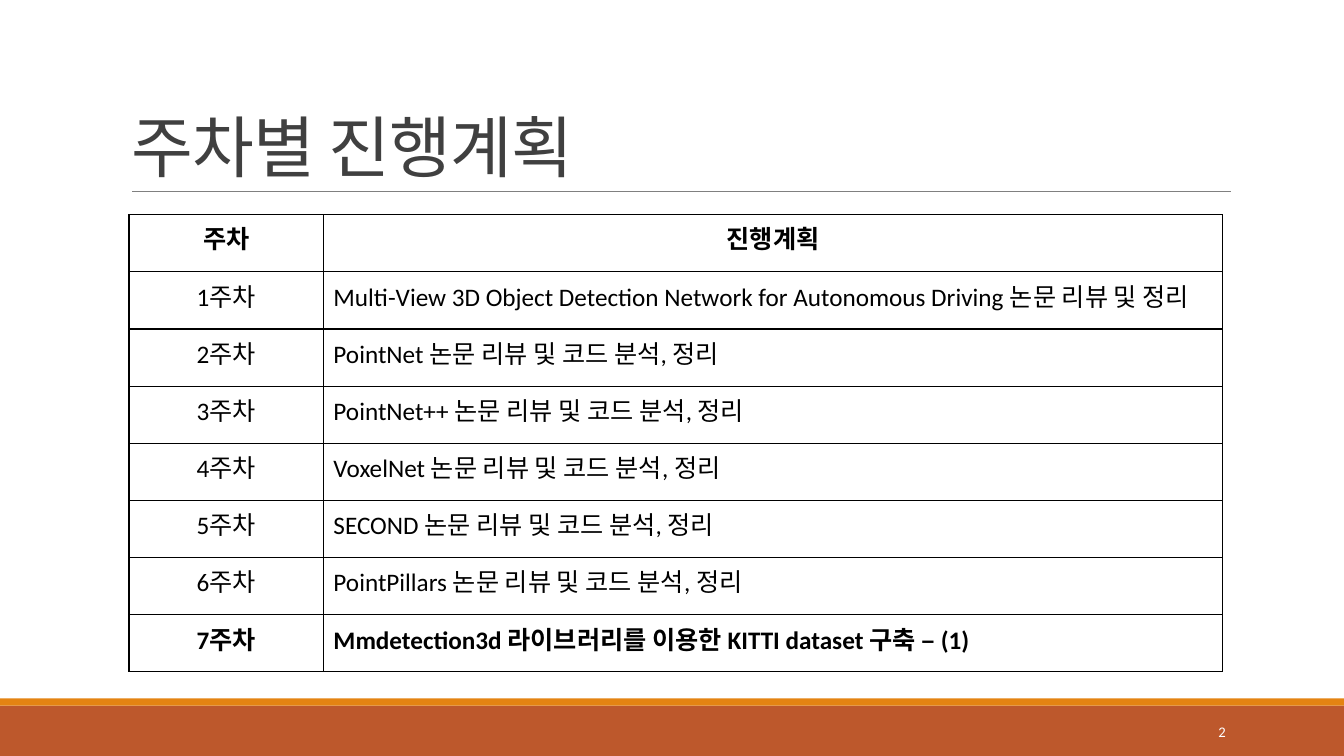
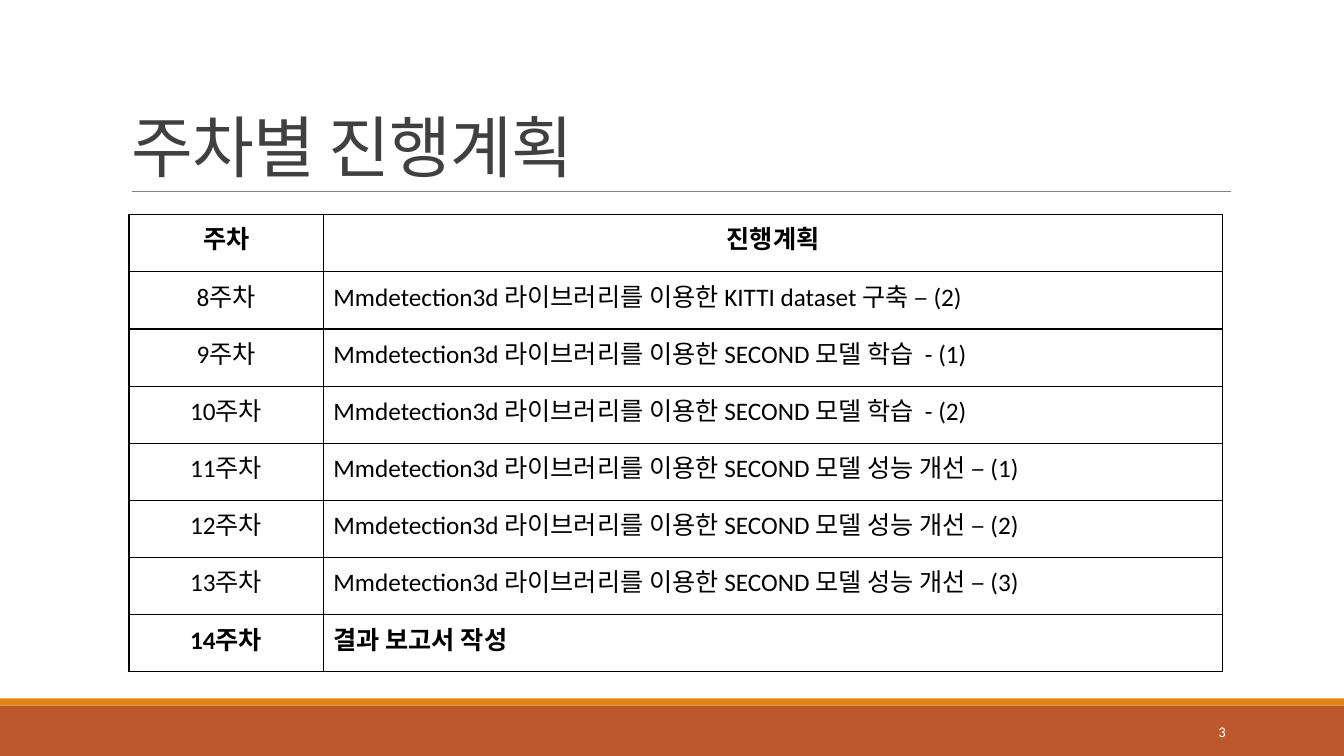
import lxml.etree
import pptx
import pptx.dml.color
import pptx.enum.shapes
import pptx.enum.text
import pptx.oxml.ns
import pptx.util

Cm = pptx.util.Cm
Pt = pptx.util.Pt
qn = pptx.oxml.ns.qn
ALIGN = pptx.enum.text.PP_ALIGN
ANCHOR = pptx.enum.text.MSO_ANCHOR

REVIEW = " 논문 리뷰 및 코드 분석, 정리"
LIBRARY = "Mmdetection3d 라이브러리를 이용한 "
PLANS = [
    "Multi-View 3D Object Detection Network for Autonomous Driving 논문 리뷰 및 정리",
    *(model + REVIEW for model in ("PointNet", "PointNet++", "VoxelNet", "SECOND", "PointPillars")),
    *(f"{LIBRARY}KITTI dataset 구축 – ({part})" for part in (1, 2)),
    *(f"{LIBRARY}SECOND 모델 학습  - ({part})" for part in (1, 2)),
    *(f"{LIBRARY}SECOND 모델 성능 개선 – ({part})" for part in (1, 2, 3)),
    "결과 보고서 작성",
]
WEEKS_PER_PAGE = 7


def color(value):
    return pptx.dml.color.RGBColor.from_string(value)


class PlanDeck:
    """Hold the deck style and the current page."""

    font = "Calibri"
    ink, title_ink, rule_ink, paper = "000000", "404040", "808080", "FFFFFF"
    bands = ((17.78, 1.27, "BD582C"), (17.6, 0.18, "E48312"))
    width, height = Cm(33.87), Cm(19.05)

    def __init__(self):
        self.deck = pptx.Presentation()
        self.deck.slide_width, self.deck.slide_height = self.width, self.height
        self.page = None

    def style(self, para, size, ink, align=ALIGN.LEFT, bold=False):
        para.alignment = align
        para.font.name = self.font
        para.font.size = Pt(size)
        para.font.bold = bold
        para.font.color.rgb = color(ink)

    def add_page(self, title, number):
        self.page = self.deck.slides.add_slide(self.deck.slide_layouts[5])
        for top, height, fill in self.bands:
            self.add_band(top, height, fill)
        self.add_rule()
        self.set_title(title)
        self.add_number(number)

    def add_band(self, top, height, fill):
        band = self.page.shapes.add_shape(
            pptx.enum.shapes.MSO_SHAPE.RECTANGLE, 0, Cm(top), self.width, Cm(height))
        band.shadow.inherit = False
        band.fill.solid()
        band.fill.fore_color.rgb = color(fill)
        band.line.fill.background()

    def add_rule(self):
        rule = self.page.shapes.add_connector(
            pptx.enum.shapes.MSO_CONNECTOR.STRAIGHT, Cm(3.33), Cm(4.83), Cm(31.01), Cm(4.83))
        rule.line.color.rgb = color(self.rule_ink)
        rule.line.width = Pt(0.5)
        lxml.etree.SubElement(rule._element.spPr, qn("a:effectLst"))

    def set_title(self, text):
        box = self.page.shapes.title
        box.left, box.top, box.width, box.height = Cm(3.05), Cm(0.79), Cm(27.94), Cm(4.04)
        frame = box.text_frame
        frame.text = text
        frame.auto_size = pptx.enum.text.MSO_AUTO_SIZE.NONE
        frame.vertical_anchor = ANCHOR.BOTTOM
        para = frame.paragraphs[0]
        self.style(para, 48, self.title_ink)
        para.line_spacing = 0.85
        para.runs[0].font._element.set("spc", "-50")

    def add_number(self, number):
        box = self.page.shapes.add_textbox(Cm(27.51), Cm(17.93), Cm(3.63), Cm(1.02))
        frame = box.text_frame
        frame.word_wrap = True
        frame.vertical_anchor = ANCHOR.MIDDLE
        frame.text = str(number)
        self.style(frame.paragraphs[0], 10.5, self.paper, ALIGN.RIGHT)

    def add_table(self, rows):
        widths, row_height = (Cm(4.9), Cm(22.66)), Cm(1.44)
        table = self.page.shapes.add_table(
            len(rows), len(widths), Cm(3.25), Cm(5.41), sum(widths), row_height * len(rows)).table
        for column, width in zip(table.columns, widths):
            column.width = width
        for row_index, texts in enumerate(rows):
            table.rows[row_index].height = row_height
            bold = row_index in (0, len(rows) - 1)
            for column_index, text in enumerate(texts):
                centred = row_index == 0 or column_index == 0
                align = ALIGN.CENTER if centred else ALIGN.LEFT
                self.fill_cell(table.cell(row_index, column_index), text, align, bold)

    def fill_cell(self, cell, text, align, bold):
        cell.text = text
        self.style(cell.text_frame.paragraphs[0], 18, self.ink, align, bold)
        properties = cell._tc.get_or_add_tcPr()
        for side in ("a:lnL", "a:lnR", "a:lnT", "a:lnB"):
            border = lxml.etree.SubElement(properties, qn(side), w=str(Pt(1)))
            fill = lxml.etree.SubElement(border, qn("a:solidFill"))
            lxml.etree.SubElement(fill, qn("a:srgbClr"), val=self.ink)
        cell.fill.solid()
        cell.fill.fore_color.rgb = color(self.paper)


def main():
    plan = PlanDeck()
    weeks = [(f"{week}주차", text) for week, text in enumerate(PLANS, 1)]
    for number, start in enumerate(range(0, len(weeks), WEEKS_PER_PAGE), 2):
        plan.add_page("주차별 진행계획", number)
        plan.add_table([("주차", "진행계획"), *weeks[start:start + WEEKS_PER_PAGE]])
    plan.deck.save("out.pptx")


if __name__ == "__main__":
    main()
